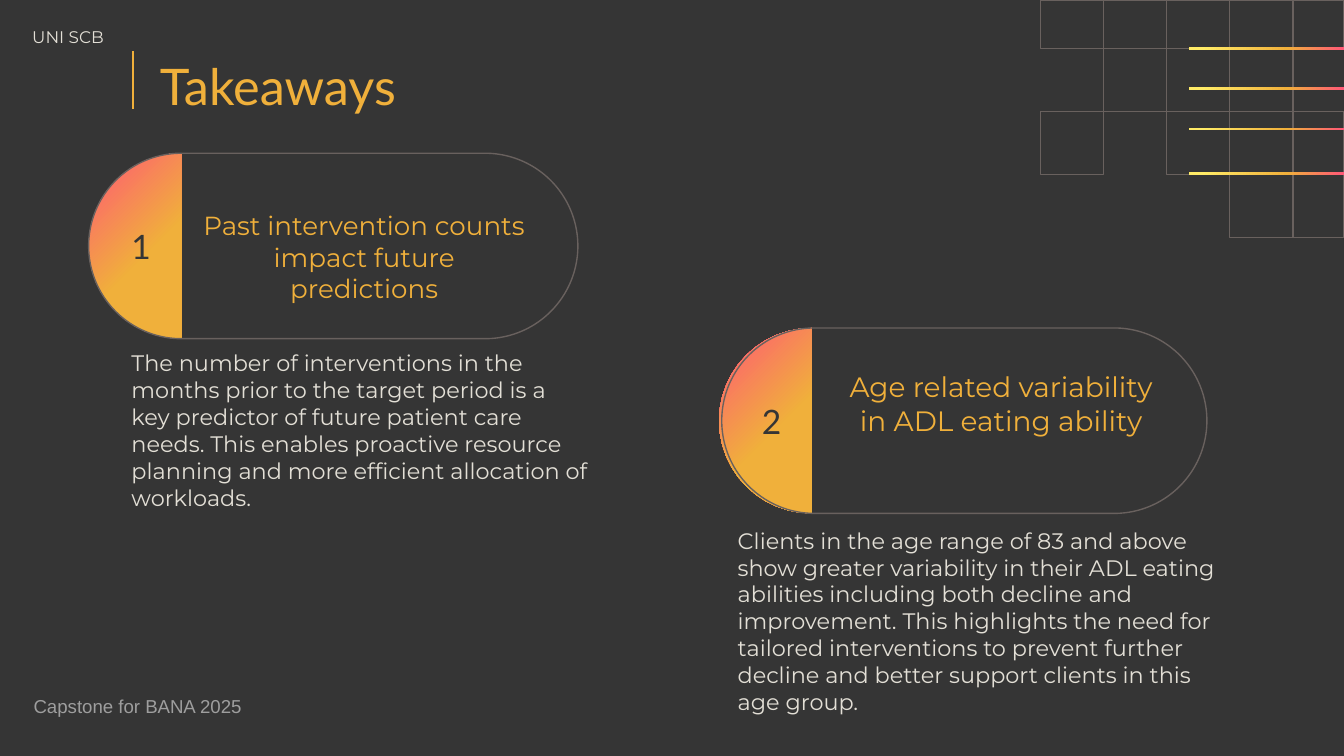
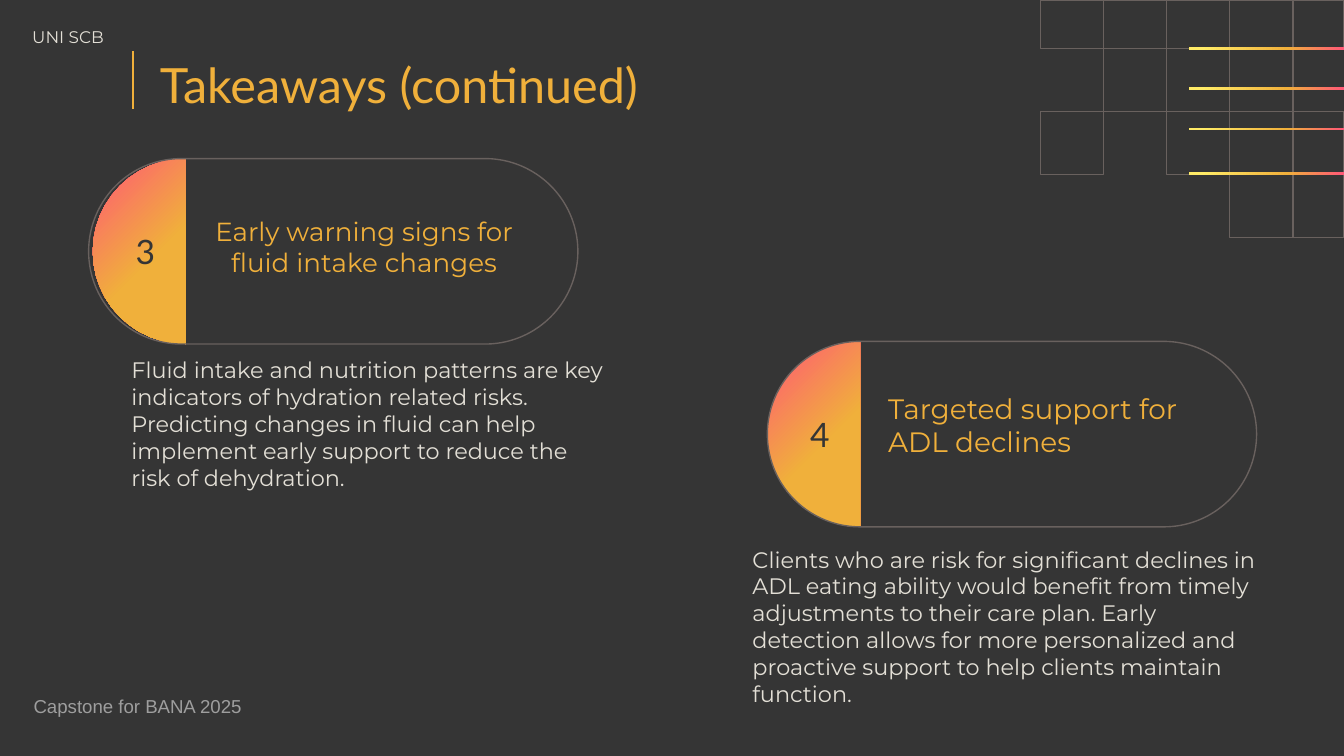
from dataclasses import dataclass
from math import cos, pi, sin

from lxml.etree import SubElement
from pptx import Presentation
from pptx.dml.color import RGBColor
from pptx.enum.shapes import MSO_CONNECTOR, MSO_SHAPE
from pptx.enum.text import MSO_ANCHOR, MSO_AUTO_SIZE, PP_ALIGN
from pptx.oxml.ns import qn
from pptx.util import Emu, Pt

# Colours
CHARCOAL = RGBColor(0x35, 0x35, 0x35)
TAUPE = RGBColor(0x69, 0x61, 0x5E)
AMBER = RGBColor(0xF0, 0xB0, 0x3B)
PINK = RGBColor(0xFF, 0x57, 0x77)
YELLOW = RGBColor(0xFF, 0xEB, 0x67)
CREAM = RGBColor(0xE3, 0xDF, 0xD6)
GREY = RGBColor(0x9E, 0x9E, 0x9E)

STRIPE_STOPS = [(0, PINK), (37, AMBER), (92, YELLOW), (100, YELLOW)]
CAP_STOPS = [(0, PINK), (58, AMBER), (100, AMBER)]

# Text styles
TITLE = {"name": "Lato", "color": AMBER}
NUMBER = {"name": "Lato", "size": 18, "color": CHARCOAL}
HEADING = {"name": "Montserrat", "color": AMBER}
BODY = {"name": "Montserrat", "size": 12, "color": CREAM}
BRAND = {"name": "Montserrat", "size": 9, "color": CREAM}
FOOTER = {"name": "Arial", "size": 10, "color": GREY}

INSETS = (10, 10, 10, 10)
TITLE_INSETS = (20, 10, 10, 10)


def px(n):
    """Lengths are given at 100 px to the inch."""
    return Emu(round(n * 9144))


@dataclass
class Takeaway:
    number: str
    heading: str
    body: str
    pill: tuple          # left, top, width, height
    heading_box: tuple   # left and top within the pill, width, height
    body_box: tuple
    heading_size: int = 14
    align: PP_ALIGN = PP_ALIGN.CENTER
    cap_dx: int = 0


def write(shape, text, style, insets=INSETS, anchor=MSO_ANCHOR.TOP, align=PP_ALIGN.LEFT):
    tf = shape.text_frame
    left, top, right, bottom = map(px, insets)
    frame = {"word_wrap": True, "auto_size": MSO_AUTO_SIZE.NONE, "vertical_anchor": anchor,
             "margin_left": left, "margin_top": top,
             "margin_right": right, "margin_bottom": bottom}
    for key, value in frame.items():
        setattr(tf, key, value)
    p = tf.paragraphs[0]
    p.alignment = align
    r = p.add_run()
    r.text = text
    for key, value in style.items():
        if key == "color":
            r.font.color.rgb = value
        else:
            setattr(r.font, key, Pt(value) if key == "size" else value)


def add_text(s, box, text, style, **options):
    write(s.shapes.add_textbox(*map(px, box)), text, style, **options)


def add_outline(sp, kind, box):
    shape = sp.add_shape(kind, *map(px, box))
    shape.shadow.inherit = False
    shape.fill.background()
    shape.line.color.rgb = TAUPE
    shape.line.width = Pt(0.75)
    return shape


def fill_gradient(shape, stops, angle):
    shape.shadow.inherit = False
    shape.line.fill.background()
    shape.fill.gradient()
    shape.fill.gradient_angle = angle
    gs_list = shape.element.spPr.find(qn("a:gradFill")).find(qn("a:gsLst"))
    for gs in list(gs_list):
        gs_list.remove(gs)
    for percent, color in stops:
        gs = SubElement(gs_list, qn("a:gs"), pos=str(percent * 1000))
        SubElement(gs, qn("a:srgbClr"), val=str(color))


def add_corner_grid(s, left, top):
    """Grid of outlined cells with gradient stripes, in the top right corner."""
    cell, first_row, last_col = 47, 36, 38
    rows = [(0, 1, 2, 3, 4), (1, 2, 3), (0, 2, 3, 4), (3, 4)]
    group = s.shapes.add_group_shape()
    for row, cols in enumerate(rows):
        y = top + (first_row + (row - 1) * cell if row else 0)
        for col in cols:
            box = (left + col * cell, y,
                   last_col if col == 4 else cell, cell if row else first_row)
            add_outline(group.shapes, MSO_SHAPE.RECTANGLE, box)
    for dy in (35, 65, 95, 128):
        stripe = s.shapes.add_shape(MSO_SHAPE.RECTANGLE,
                                    *map(px, (left + 111, top + dy, 115, 2)))
        fill_gradient(stripe, STRIPE_STOPS, 180)


def add_header(s, title, size, width):
    """Title placeholder with the amber rule at its left."""
    left, top, height = 99, 31, 57
    shape = s.shapes.title
    shape.left, shape.top, shape.width, shape.height = map(px, (left, top, width, height))
    write(shape, title, TITLE | {"size": size}, insets=TITLE_INSETS)
    rule = s.shapes.add_connector(MSO_CONNECTOR.STRAIGHT,
                                  *map(px, (left, top + 7, left, top + 50)))
    rule.line.color.rgb = AMBER
    rule.line.width = Pt(1.5)
    SubElement(rule.element.spPr, qn("a:effectLst"))


def add_cap(s, left, top, height):
    """Half disc that fills the left end of a pill."""
    radius, steps = height / 2, 24
    arc = [(px(left + radius * (1 - sin(pi * i / steps))),
            px(top + radius * (1 - cos(pi * i / steps)))) for i in range(steps + 1)]
    builder = s.shapes.build_freeform(*arc[0])
    builder.add_line_segments(arc[1:], close=True)
    fill_gradient(builder.convert_to_shape(), CAP_STOPS, 315)


def add_takeaway(s, item):
    """Numbered pill with a heading, and its explanation below."""
    left, top, _, height = item.pill
    cap_left = left + item.cap_dx
    add_cap(s, cap_left, top, height)
    pill = add_outline(s.shapes, MSO_SHAPE.ROUNDED_RECTANGLE, item.pill)
    pill.adjustments[0] = 0.5
    add_text(s, (cap_left + 22, top + 32, 45, 74), item.number, NUMBER,
             anchor=MSO_ANCHOR.MIDDLE)
    dx, dy, w, h = item.heading_box
    add_text(s, (left + dx, top + dy, w, h), item.heading,
             HEADING | {"size": item.heading_size}, align=item.align)
    add_text(s, item.body_box, item.body, BODY)


def add_takeaway_slide(prs, title, title_size, title_width, items):
    s = prs.slides.add_slide(prs.slide_layouts[5])
    add_corner_grid(s, 774, 0)
    add_header(s, title, title_size, title_width)
    add_text(s, (4, 10, 173, 21), "UNI SCB", BRAND, insets=TITLE_INSETS)
    add_text(s, (25, 515, 212, 21), "Capstone for BANA 2025", FOOTER,
             insets=(0, 0, 0, 0), anchor=MSO_ANCHOR.MIDDLE)
    for item in items:
        add_takeaway(s, item)


SLIDES = [
    ("Takeaways", 27, 295, [
        Takeaway("1", "Past intervention counts impact future predictions",
                 "The number of interventions in the months prior to the target period is a "
                 "key predictor of future patient care needs. This enables proactive resource "
                 "planning and more efficient allocation of workloads.",
                 (66, 114, 364, 138), (74, 32, 262, 32), (88, 250, 361, 141)),
        Takeaway("2", "Age related variability in ADL eating ability",
                 "Clients in the age range of 83 and above show greater variability in their "
                 "ADL eating abilities including both decline and improvement. This highlights "
                 "the need for tailored interventions to prevent further decline and better "
                 "support clients in this age group.",
                 (537, 244, 361, 138), (83, 21, 250, 32), (539, 382, 375, 162),
                 heading_size=15, cap_dx=-2),
    ]),
    ("Takeaways (continued)", 26, 432, [
        Takeaway("3", "Early warning signs for fluid intake changes",
                 "Fluid intake and nutrition patterns are key indicators of hydration related "
                 "risks. Predicting changes in fluid can help implement early support to reduce "
                 "the risk of dehydration.",
                 (66, 118, 364, 138), (74, 32, 262, 32), (88, 255, 375, 121), cap_dx=3),
        Takeaway("4", "Targeted support for ADL declines",
                 "Clients who are risk for significant declines in ADL eating ability would "
                 "benefit from timely adjustments to their care plan. Early detection allows "
                 "for more personalized and proactive support to help clients maintain function.",
                 (571, 254, 364, 138), (80, 27, 262, 32), (550, 396, 402, 141),
                 heading_size=15, align=PP_ALIGN.LEFT),
    ]),
]


def main():
    prs = Presentation()
    prs.slide_width = px(1000)
    prs.slide_height = Emu(prs.slide_width * 9 // 16)
    background = prs.slide_master.background.fill
    background.solid()
    background.fore_color.rgb = CHARCOAL
    for slide in SLIDES:
        add_takeaway_slide(prs, *slide)
    prs.save("out.pptx")


if __name__ == "__main__":
    main()
